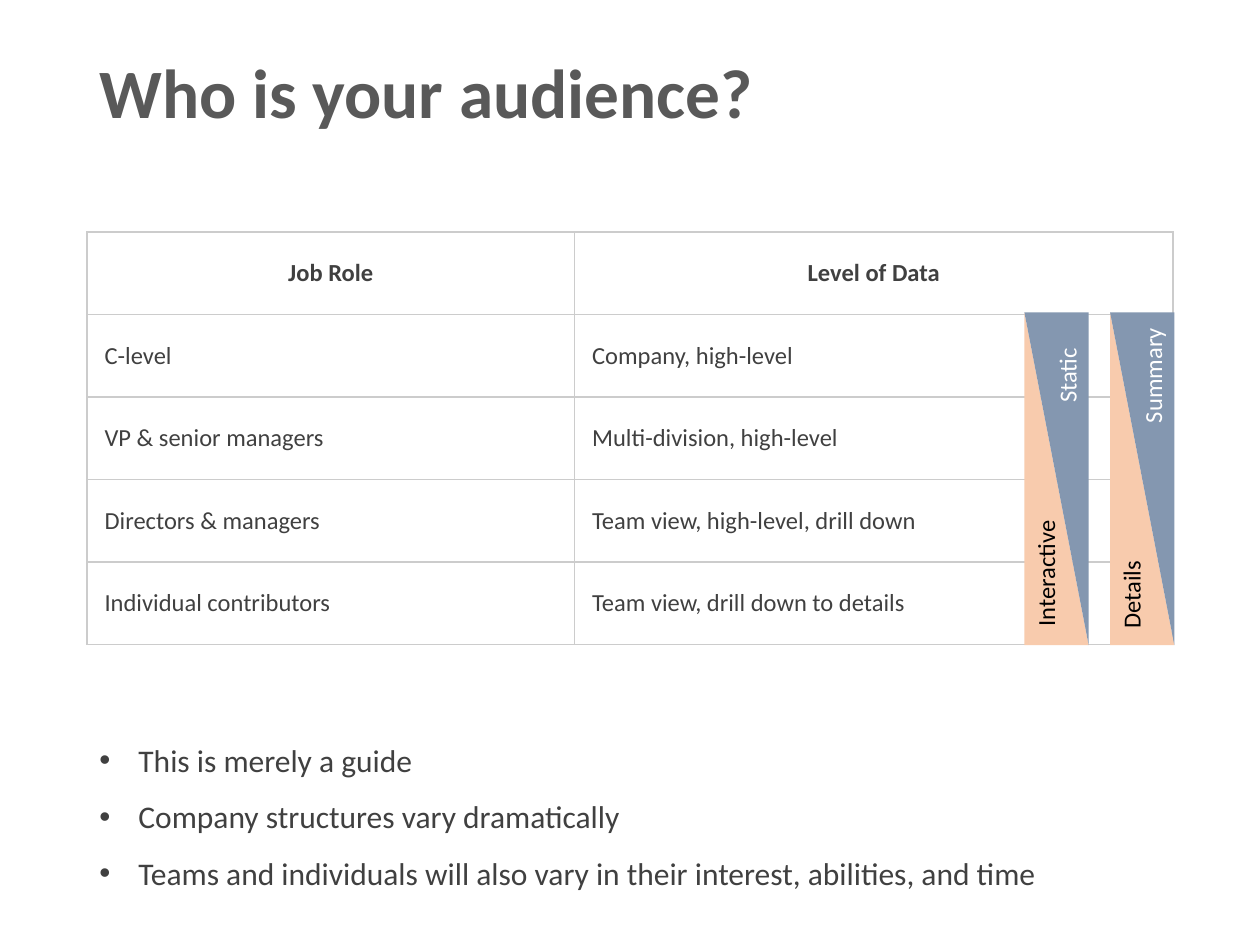
from pptx import Presentation
from pptx.dml.color import RGBColor
from pptx.enum.shapes import MSO_SHAPE
from pptx.enum.text import MSO_ANCHOR, PP_ALIGN
from pptx.oxml.xmlchemy import OxmlElement
from pptx.util import Inches, Pt

COLORS = {
    "title": "595959",
    "body": "404040",
    "border": "CCCCCC",
    "white": "FFFFFF",
    "black": "000000",
    "peach": "F8CBAD",
    "slate": "8497B0",
}


def rgb(name):
    return RGBColor.from_string(COLORS[name])


class SlideBuilder:
    """Holds the text style and the current page."""

    font = "Calibri"
    label_size = 14

    def __init__(self, page):
        self.page = page

    def style(self, paragraph, size, color, bold=False):
        for span in paragraph.runs:
            span.font.name = self.font
            span.font.size = Pt(size)
            span.font.bold = bold
            span.font.color.rgb = rgb(color)

    def text_box(self, left, top, width, height, text):
        box = self.page.shapes.add_textbox(
            Inches(left), Inches(top), Inches(width), Inches(height))
        box.text_frame.word_wrap = True
        box.text_frame.text = text
        return box

    def title(self, left, top, width, height, text):
        frame = self.text_box(left, top, width, height, text).text_frame
        frame.vertical_anchor = MSO_ANCHOR.MIDDLE
        frame.paragraphs[0].line_spacing = 0.9
        self.style(frame.paragraphs[0], 39.6, "title", bold=True)

    def bullets(self, left, top, width, height, lines):
        frame = self.text_box(left, top, width, height, "\n".join(lines)).text_frame
        for paragraph in frame.paragraphs:
            properties = paragraph._p.get_or_add_pPr()
            properties.set("marL", str(Inches(0.31)))
            properties.set("indent", str(-Inches(0.31)))
            bullet_font = OxmlElement("a:buFont")
            bullet_font.set("typeface", "Arial")
            bullet = OxmlElement("a:buChar")
            bullet.set("char", "•")
            properties.extend([bullet_font, bullet])
            paragraph.line_spacing = 1.5
            self.style(paragraph, 18, "body")

    def border(self, cell):
        properties = cell._tc.get_or_add_tcPr()
        for index, side in enumerate(("lnL", "lnR", "lnT", "lnB")):
            line = OxmlElement(f"a:{side}")
            line.set("w", str(Pt(1)))
            fill = OxmlElement("a:solidFill")
            color = OxmlElement("a:srgbClr")
            color.set("val", COLORS["border"])
            fill.append(color)
            line.append(fill)
            properties.insert(index, line)

    def table(self, left, top, widths, row_height, rows):
        table = self.page.shapes.add_table(
            len(rows), len(widths), Inches(left), Inches(top),
            Inches(sum(widths)), Inches(row_height * len(rows))).table
        table.horz_banding = False
        for column, width in zip(table.columns, widths):
            column.width = Inches(width)
        for row_index, row in enumerate(rows):
            table.rows[row_index].height = Inches(row_height)
            header = row_index == 0
            for column_index, text in enumerate(row):
                cell = table.cell(row_index, column_index)
                cell.text_frame.text = text
                cell.vertical_anchor = MSO_ANCHOR.MIDDLE
                cell.margin_left = cell.margin_right = Inches(0.14)
                cell.margin_top = cell.margin_bottom = Inches(0.07)
                cell.fill.solid()
                cell.fill.fore_color.rgb = rgb("white")
                paragraph = cell.text_frame.paragraphs[0]
                paragraph.alignment = PP_ALIGN.CENTER if header else PP_ALIGN.LEFT
                self.style(paragraph, self.label_size, "body", bold=header)
                self.border(cell)

    def wedge(self, left, top, width, height, color, rotation):
        wedge = self.page.shapes.add_shape(
            MSO_SHAPE.RIGHT_TRIANGLE,
            Inches(left), Inches(top), Inches(width), Inches(height))
        wedge.rotation = rotation
        wedge.shadow.inherit = False
        wedge.fill.solid()
        wedge.fill.fore_color.rgb = rgb(color)
        wedge.line.fill.background()

    def upright_label(self, center_x, center_y, length, text, color):
        thickness = 0.34
        box = self.text_box(center_x - length / 2, center_y - thickness / 2,
                            length, thickness, text)
        box.rotation = 270
        paragraph = box.text_frame.paragraphs[0]
        paragraph.alignment = PP_ALIGN.CENTER
        self.style(paragraph, self.label_size, color)

    def scale(self, left, upper, lower, lower_y, lower_length):
        """Two wedges forming a bar, each with an upright label."""
        bar = (left, 2.48, 0.51, 2.64)
        self.wedge(*bar, "peach", 0)
        self.wedge(*bar, "slate", 180)
        self.upright_label(left + 0.34, 2.98, 1.25, upper, "white")
        self.upright_label(left + 0.17, lower_y, lower_length, lower, "black")


def main():
    deck = Presentation()
    deck.slide_width, deck.slide_height = Inches(10), Inches(7.5)
    builder = SlideBuilder(deck.slides.add_slide(deck.slide_layouts[6]))

    # Title
    builder.title(0.69, 0.4, 8.62, 0.73, "Who is your audience?")

    # Roles and the data they need
    builder.table(0.69, 1.84, (3.87, 4.75), 0.655, [
        ("Job Role", "Level of Data"),
        ("C-level", "Company, high-level"),
        ("VP & senior managers", "Multi-division, high-level"),
        ("Directors & managers", "Team view, high-level, drill down"),
        ("Individual contributors", "Team view, drill down to details"),
    ])

    # Remarks
    builder.bullets(0.69, 5.68, 8.29, 1.46, [
        "This is merely a guide",
        "Company structures vary dramatically",
        "Teams and individuals will also vary in their interest, abilities, and time",
    ])

    # Scales over the table's right edge
    builder.scale(8.81, "Summary", "Details", 4.72, 0.79)
    builder.scale(8.13, "Static", "Interactive", 4.55, 1.14)

    deck.save("out.pptx")


if __name__ == "__main__":
    main()
